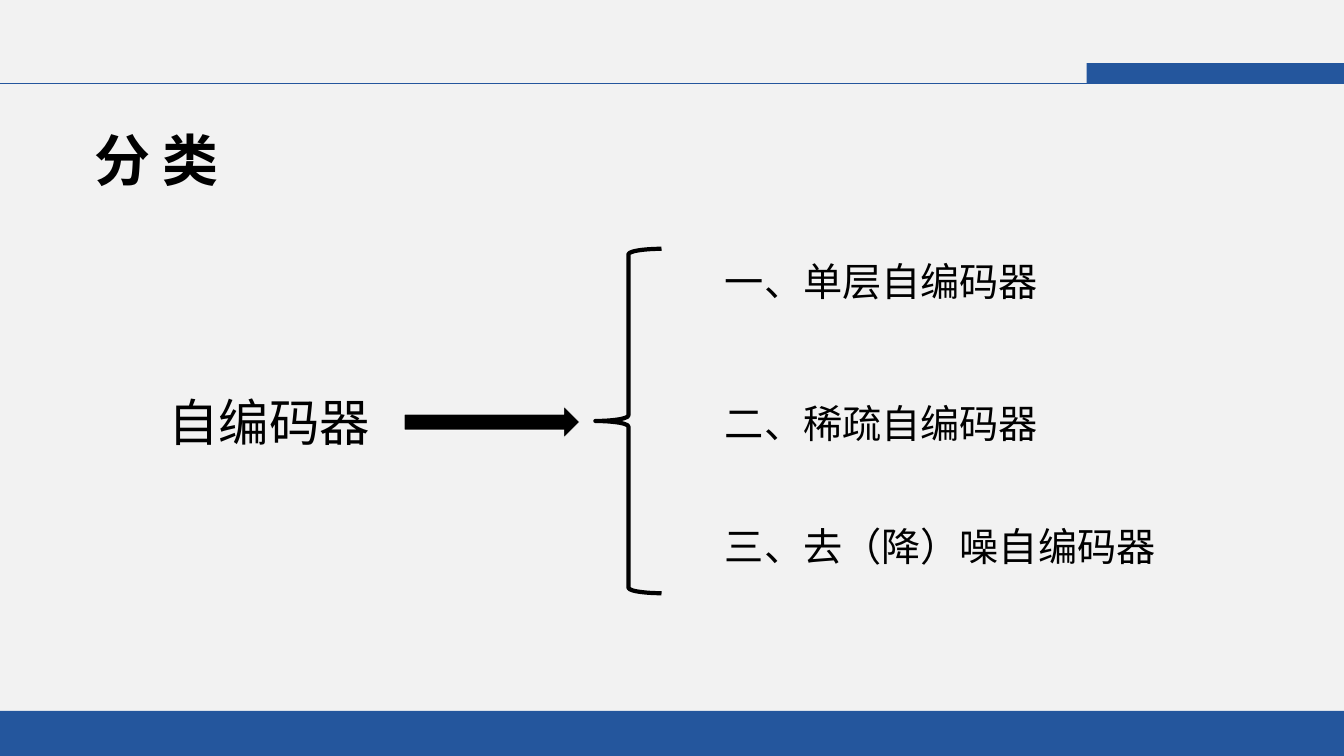
from lxml.etree import SubElement
from pptx import Presentation
from pptx.dml.color import RGBColor
from pptx.enum.shapes import MSO_CONNECTOR, MSO_SHAPE
from pptx.enum.text import MSO_ANCHOR, MSO_AUTO_SIZE, PP_ALIGN
from pptx.oxml.ns import qn
from pptx.util import Pt

EMU_PER_PX = 9525
WIDTH, HEIGHT = 1280, 720
BLUE, BLACK, WHITE, GREY = "24569D", "000000", "FFFFFF", "F2F2F2"
LATIN_FONT, CHINESE_FONT = "DejaVu Sans", "Noto Sans CJK SC"


def px(*lengths):
    return [length * EMU_PER_PX for length in lengths]


def paint(color_format, color):
    color_format.rgb = RGBColor.from_string(color)


def add_figure(page, preset, box, fill=None, line=None, weight=1):
    figure = page.shapes.add_shape(preset, *px(*box))
    figure.shadow.inherit = False
    if fill:
        figure.fill.solid()
        paint(figure.fill.fore_color, fill)
    else:
        figure.fill.background()
    if line:
        paint(figure.line.color, line)
        figure.line.width = Pt(weight)
    else:
        figure.line.fill.background()


def write(holder, text, size, bold=False, wrap=True):
    frame = holder.text_frame
    frame.text = text
    frame.auto_size = MSO_AUTO_SIZE.NONE
    frame.word_wrap = wrap
    frame.vertical_anchor = MSO_ANCHOR.MIDDLE
    para = frame.paragraphs[0]
    para.alignment = PP_ALIGN.LEFT
    for span in para.runs:
        span.font.size = Pt(size)
        span.font.bold = bold
        paint(span.font.color, BLACK)
        span.font.name = LATIN_FONT
        east_asian = SubElement(span.font._element, qn("a:ea"))
        east_asian.set("typeface", CHINESE_FONT)


def add_label(page, box, text, size):
    write(page.shapes.add_textbox(*px(*box)), text, size)


def add_header(page, box):
    left, top, width, height = box
    tab_width = 245
    right, bottom = left + width, top + height
    add_figure(page, MSO_SHAPE.RECTANGLE,
               (right - tab_width, top, tab_width, height), BLUE)
    rule = page.shapes.add_connector(MSO_CONNECTOR.STRAIGHT,
                                     *px(left, bottom, right, bottom))
    paint(rule.line.color, BLUE)
    rule.line.width = Pt(0.5)
    SubElement(rule._element.spPr, qn("a:effectLst"))


def add_footer(page, box):
    add_figure(page, MSO_SHAPE.RECTANGLE, box, BLUE)


def set_title(page, box, text):
    title = page.shapes.title
    title.left, title.top, title.width, title.height = px(*box)
    write(title, text, 40, bold=True, wrap=False)


def add_classification(page, box, subject, kinds):
    left, top, width, height = box
    add_label(page, (left, top + 130, 234, 68), subject, 36)
    add_figure(page, MSO_SHAPE.RIGHT_ARROW, (left + 234, top + 150, 167, 30),
               BLACK, WHITE, 0.5)
    add_figure(page, MSO_SHAPE.LEFT_BRACE, (left + 416, top, 63, height),
               line=BLACK, weight=3)
    kinds_left = 530
    for offset, kind in kinds:
        add_label(page, (left + kinds_left, top + offset, width - kinds_left, 55),
                  kind, 28)


def build_classification_slide(deck):
    page = deck.slides.add_slide(deck.slide_layouts[5])
    page.background.fill.solid()
    paint(page.background.fill.fore_color, GREY)
    add_header(page, (0, 60, WIDTH, 19))
    add_footer(page, (0, 677, WIDTH, 43))
    set_title(page, (80, 115, 145, 74), "分 类")
    kinds = [(3, "一、单层自编码器"),
             (138, "二、稀疏自编码器"),
             (255, "三、去（降）噪自编码器")]
    add_classification(page, (151, 237, 979, 328), "自编码器", kinds)


def main():
    deck = Presentation()
    deck.slide_width, deck.slide_height = px(WIDTH, HEIGHT)
    build_classification_slide(deck)
    deck.save("out.pptx")


if __name__ == "__main__":
    main()
